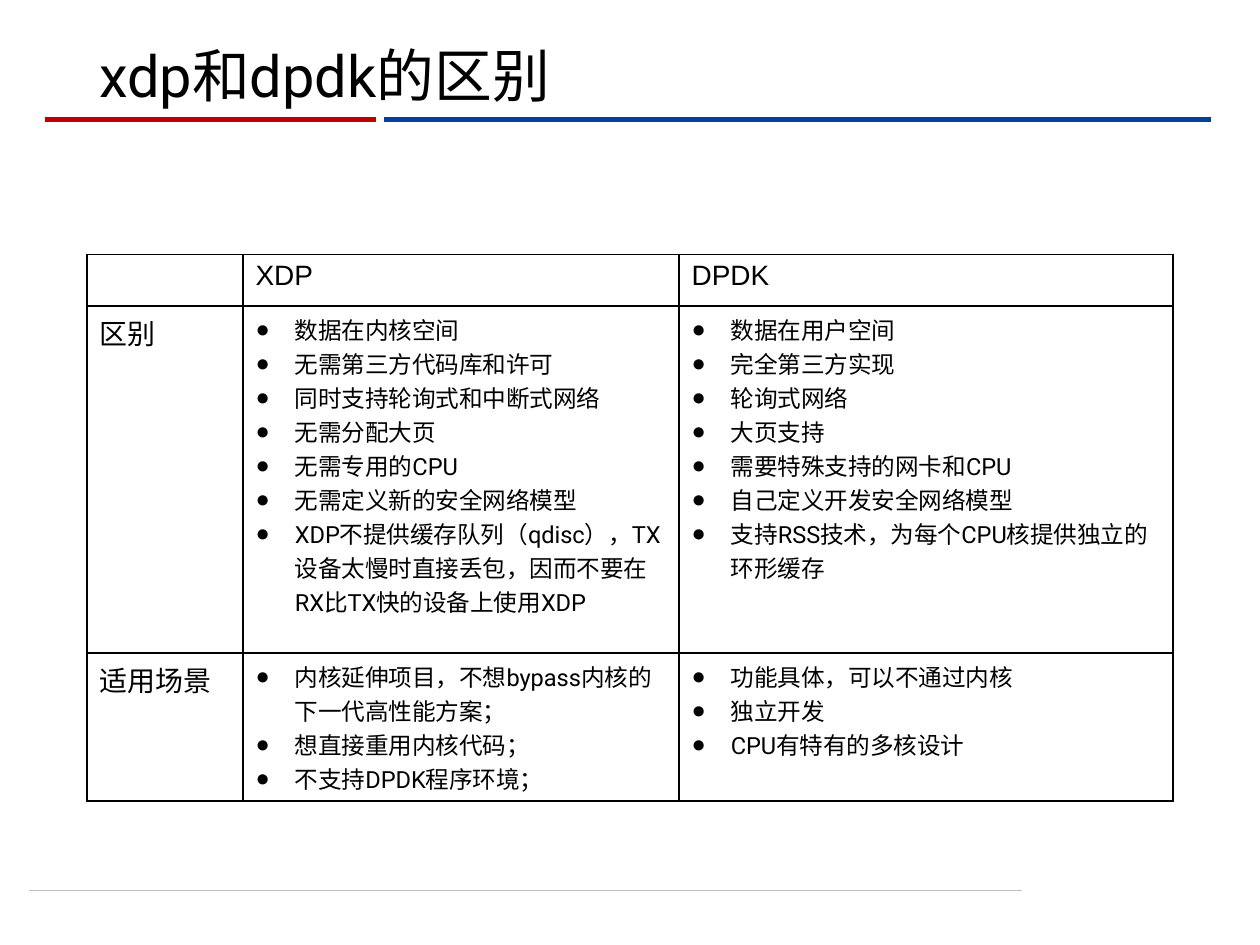
"""Build a slide that compares XDP and DPDK in a table."""
from lxml.etree import SubElement
from pptx import Presentation
from pptx.dml.color import RGBColor
from pptx.enum.shapes import MSO_CONNECTOR as Connector
from pptx.enum.text import MSO_ANCHOR as Anchor
from pptx.oxml import parse_xml
from pptx.oxml.ns import nsdecls, qn
from pptx.util import Cm, Pt

TITLE = "xdp和dpdk的区别"
HEADER = ["", "XDP", "DPDK"]
BODY = [
    ("区别",
     ["数据在内核空间", "无需第三方代码库和许可", "同时支持轮询式和中断式网络",
      "无需分配大页", "无需专用的CPU", "无需定义新的安全网络模型",
      "XDP不提供缓存队列（qdisc），TX设备太慢时直接丢包，因而不要在RX比TX快的设备上使用XDP"],
     ["数据在用户空间", "完全第三方实现", "轮询式网络", "大页支持",
      "需要特殊支持的网卡和CPU", "自己定义开发安全网络模型",
      "支持RSS技术，为每个CPU核提供独立的环形缓存"]),
    ("适用场景",
     ["内核延伸项目，不想bypass内核的下一代高性能方案；",
      "想直接重用内核代码；", "不支持DPDK程序环境；"],
     ["功能具体，可以不通过内核", "独立开发", "CPU有特有的多核设计"]),
]
RULES = [
    (0.58, 20.6, 17.96, "BFBFBF", 0.5),
    (7.75, 24.41, 2.41, "004299", 3),
    (0.91, 7.57, 2.41, "C00000", 3),
]
LEFT, WIDTH = 1.75, 21.9
TABLE_TOP = 5.13
COLUMNS = [3.15, 8.79, 9.96]
ROWS = [1.04, 6.99, 2.99]
INDENT = 0.79
BLACK = "000000"


def color(value):
    return RGBColor.from_string(value)


def add_rule(page, start, end, top, tint, weight):
    rule = page.shapes.add_connector(
        Connector.STRAIGHT, Cm(start), Cm(top), Cm(end), Cm(top))
    rule.line.color.rgb = color(tint)
    rule.line.width = Pt(weight)
    SubElement(rule.element.spPr, qn("a:effectLst"))


def style(para, font, size):
    for span in para.runs:
        span.font.name = font
        span.font.size = Pt(size)
        span.font.color.rgb = color(BLACK)


def add_bullet(para):
    properties = para._p.get_or_add_pPr()
    properties.set("marL", str(Cm(INDENT)))
    properties.set("indent", str(-Cm(INDENT)))
    SubElement(properties, qn("a:buFont"), typeface="Arial")
    SubElement(properties, qn("a:buChar"), char="●")


def frame_cell(cell):
    properties = cell._tc.get_or_add_tcPr()
    for side in "LRTB":
        properties.append(parse_xml(
            f'<a:ln{side} {nsdecls("a")} w="{Pt(1)}"><a:solidFill>'
            f'<a:srgbClr val="{BLACK}"/></a:solidFill></a:ln{side}>'))
    cell.fill.background()


def fill_cell(cell, content):
    frame_cell(cell)
    bulleted = isinstance(content, list)
    cell.text_frame.text = "\n".join(content) if bulleted else content
    for para in cell.text_frame.paragraphs:
        if bulleted:
            add_bullet(para)
            style(para, "Roboto", 13.5)
        else:
            style(para, "Arial", 16)


def add_title(page):
    box = page.shapes.add_textbox(Cm(LEFT), Cm(0.56), Cm(WIDTH), Cm(1.78))
    box.text_frame.word_wrap = True
    box.text_frame.vertical_anchor = Anchor.BOTTOM
    box.text_frame.text = TITLE
    para = box.text_frame.paragraphs[0]
    para.line_spacing = 0.9
    style(para, "Roboto", 33)


def add_comparison(page):
    table = page.shapes.add_table(
        len(ROWS), len(COLUMNS), Cm(LEFT), Cm(TABLE_TOP),
        Cm(sum(COLUMNS)), Cm(sum(ROWS))).table
    table.first_row = False
    table.horz_banding = False
    for column, width in zip(table.columns, COLUMNS):
        column.width = Cm(width)
    for row, height, contents in zip(table.rows, ROWS, [HEADER, *BODY]):
        row.height = Cm(height)
        for cell, content in zip(row.cells, contents):
            fill_cell(cell, content)


def main():
    deck = Presentation()
    deck.slide_width, deck.slide_height = Cm(25.4), Cm(19.05)
    page = deck.slides.add_slide(deck.slide_layouts[6])
    for rule in RULES:
        add_rule(page, *rule)
    add_title(page)
    add_comparison(page)
    deck.save("out.pptx")


if __name__ == "__main__":
    main()
